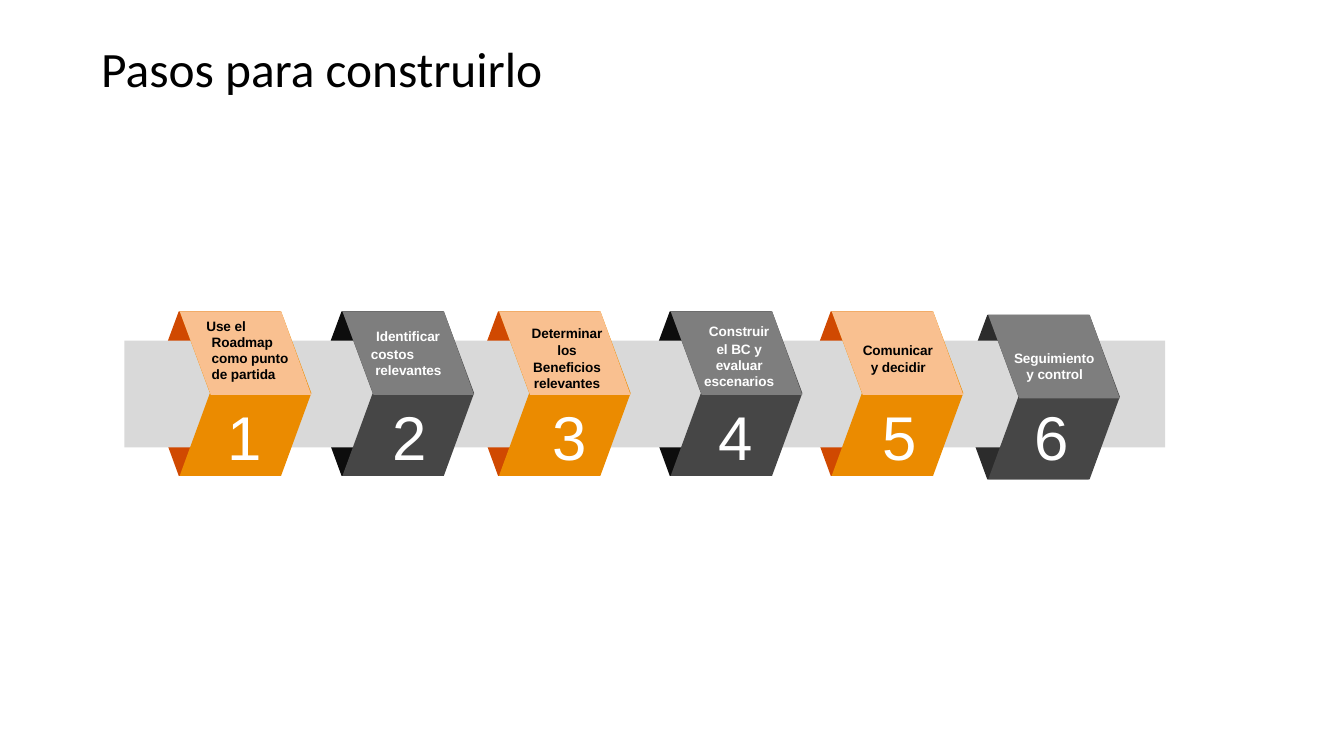
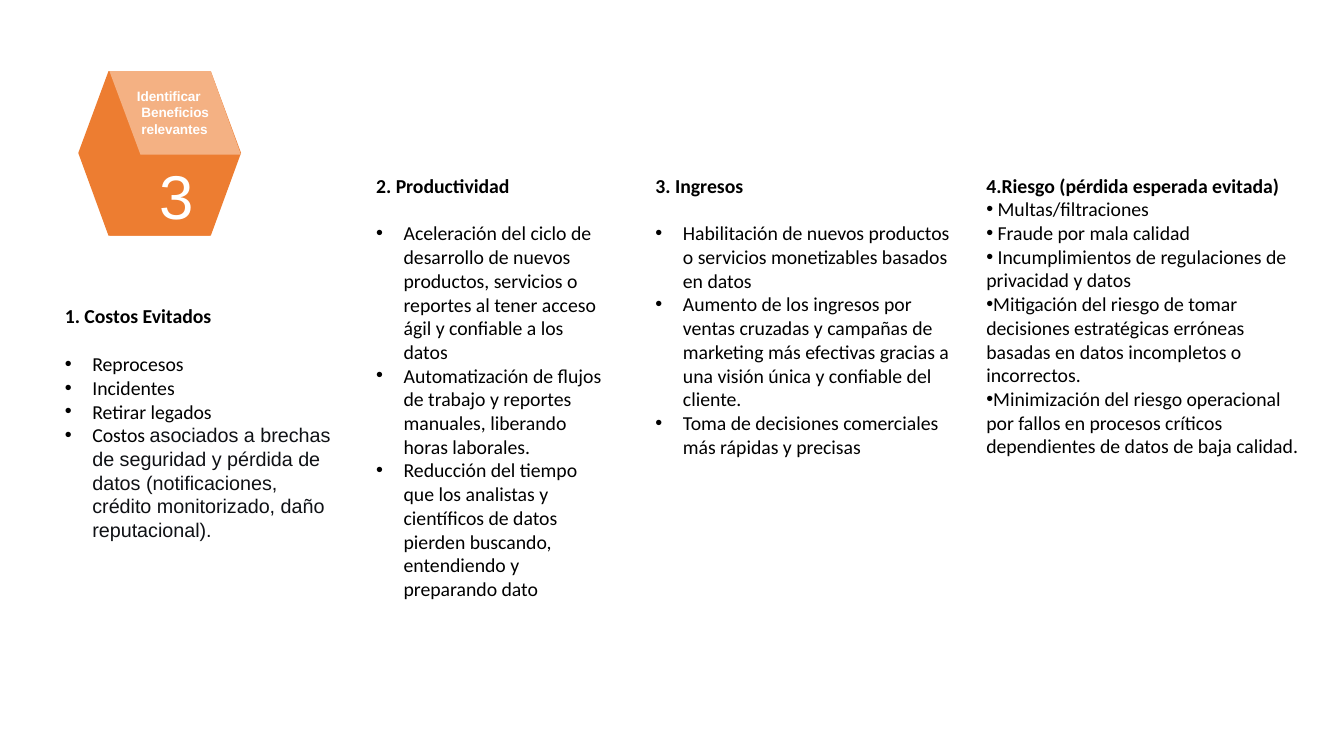
from dataclasses import dataclass
from lxml import etree
from pptx import Presentation
from pptx import util as u
from pptx.dml.color import RGBColor
from pptx.enum import shapes, text
from pptx.oxml.ns import qn

BLACK, WHITE, INK = "000000", "FFFFFF", "0F1115"
BAND = "D9D9D9"
BODY_FONT, STEP_FONT = "Calibri", "Arial"

BACK = [(1.48, 0), (0.34, 0), (0, 0.92), (0.34, 1.85), (1.48, 1.85), (1.14, 0.92)]
FRONT = [(1.49, 0), (0.35, 0), (0.69, 0.92), (0.35, 1.85), (1.49, 1.85), (1.83, 0.92)]
LID = [(1.49, 0), (0.35, 0), (0.7, 0.94), (1.83, 0.94)]


@dataclass
class Theme:
    back: str
    front: str
    lid: str
    label: str


@dataclass
class Step:
    number: str
    theme: Theme
    left: float
    top: float
    number_at: tuple
    label_box: tuple
    label: list
    indents: list
    centred: bool = False


ORANGE = Theme("D04901", "EB8B00", "F9C090", BLACK)
GREY = Theme("0D0D0D", "464646", "7E7E7E", WHITE)
SOFT_GREY = Theme("2C2C2C", "464646", "7E7E7E", WHITE)
CORAL = Theme("ED7D31", "ED7D31", "F4B183", WHITE)

HANGING = (0.06, -0.05)
FLUSH = (0.01, 0)

STEPS = [
    Step("1", ORANGE, 1.67, 3.5, (0.88, 0.97), (0.63, 0.06, 1.09, 0.76),
         ["Use el Roadmap como punto de partida"], [(0.08, -0.06)]),
    Step("2", GREY, 3.5, 3.5, (0.9, 0.97), (0.66, 0.18, 0.88, 0.6),
         ["Identificar", "costos relevantes"], [(0.07, 0), HANGING]),
    Step("3", ORANGE, 5.26, 3.5, (0.94, 0.97), (0.69, 0.14, 0.84, 0.76),
         ["Determinar", "los Beneficios relevantes"], [FLUSH, FLUSH], True),
    Step("4", GREY, 7.19, 3.5, (0.88, 0.97), (0.7, 0.12, 0.83, 0.76),
         ["Construir", "el BC y evaluar escenarios"], [FLUSH, FLUSH], True),
    Step("5", ORANGE, 9, 3.5, (0.91, 0.97), (0.69, 0.34, 0.83, 0.4),
         ["Comunicar y decidir"], [(0.1, -0.09)]),
    Step("6", SOFT_GREY, 10.76, 3.54, (0.86, 0.93), (0.63, 0.38, 0.95, 0.4),
         ["Seguimiento y control"], [(0.15, -0.14)]),
]

BENEFITS_STEP = Step("3", CORAL, 0.88, 0.8, (0.9, 0.96), (0.65, 0.18, 0.88, 0.57),
                     ["Identificar Beneficios relevantes"], [HANGING])

COSTS = ["Reprocesos", "Incidentes", "Retirar legados", "Costos "]
COSTS_DETAIL = ("asociados a brechas de seguridad y pérdida de datos "
                "(notificaciones, crédito monitorizado, daño reputacional).")
PRODUCTIVITY = [
    "Aceleración del ciclo de desarrollo de nuevos productos, servicios o reportes "
    "al tener acceso ágil y confiable a los datos",
    "Automatización de flujos de trabajo y reportes manuales, liberando horas laborales.",
    "Reducción del tiempo que los analistas y científicos de datos pierden buscando, "
    "entendiendo y preparando dato",
]
INCOME = [
    "Habilitación de nuevos productos o servicios monetizables basados en datos",
    "Aumento de los ingresos por ventas cruzadas y campañas de marketing más efectivas "
    "gracias a una visión única y confiable del cliente.",
    "Toma de decisiones comerciales más rápidas y precisas",
]
RISK = [
    " Multas/filtraciones",
    " Fraude por mala calidad",
    " Incumplimientos de regulaciones de privacidad y datos",
    "Mitigación del riesgo de tomar decisiones estratégicas erróneas basadas en datos "
    "incompletos o incorrectos.",
    "Minimización del riesgo operacional por fallos en procesos críticos dependientes "
    "de datos de baja calidad.",
]


def rgb(colour):
    return RGBColor.from_string(colour)


def paint(shape, colour):
    shape.fill.solid()
    shape.fill.fore_color.rgb = rgb(colour)
    shape.line.fill.background()
    shape.shadow.inherit = False


def format_run(run, size, font, colour, bold=False, spacing=0):
    run.font.size = u.Pt(size)
    run.font.name = font
    run.font.bold = bold
    run.font.color.rgb = rgb(colour)
    if spacing:
        run._r.get_or_add_rPr().set("spc", str(round(spacing * 100)))


def indent(paragraph, margin, first):
    properties = paragraph._p.get_or_add_pPr()
    properties.set("marL", str(u.Inches(margin)))
    properties.set("indent", str(u.Inches(first)))
    return properties


def add_bullet(paragraph, hang):
    properties = indent(paragraph, hang, -hang)
    etree.SubElement(properties, qn("a:buFont")).set("typeface", "Arial")
    etree.SubElement(properties, qn("a:buChar")).set("char", "•")


def text_area(slide, left, top, width, height):
    area = slide.shapes.add_textbox(*map(u.Inches, (left, top, width, height)))
    area.text_frame.word_wrap = True
    return area.text_frame


def add_title(slide, wording):
    frame = text_area(slide, 1.04, 0.45, 9.6, 0.71)
    frame.vertical_anchor = text.MSO_ANCHOR.MIDDLE
    title = frame.paragraphs[0]
    title.text = wording
    title.line_spacing = 0.9
    format_run(title.runs[0], 40, BODY_FONT, BLACK)


def add_outline(slide, step, points, colour):
    corners = [(u.Inches(step.left + x), u.Inches(step.top + y)) for x, y in points]
    builder = slide.shapes.build_freeform(*corners[0], scale=1.0)
    builder.add_line_segments(corners[1:], close=True)
    paint(builder.convert_to_shape(), colour)


def add_step_text(slide, step, box, lines, indents, size, colour, bold, spacing):
    left, top, width, height = box
    frame = text_area(slide, step.left + left, step.top + top, width, height)
    frame.margin_left = frame.margin_right = frame.margin_bottom = 0
    frame.margin_top = u.Inches(0.01)
    frame.text = "\n".join(lines)
    for paragraph, (margin, first) in zip(frame.paragraphs, indents):
        indent(paragraph, margin, first)
        paragraph.space_before = u.Pt(1.1)
        format_run(paragraph.runs[0], size, STEP_FONT, colour, bold, spacing)
    return frame


def add_step_back(slide, step):
    add_outline(slide, step, BACK, step.theme.back)


def add_step_face(slide, step):
    add_outline(slide, step, FRONT, step.theme.front)
    add_outline(slide, step, LID, step.theme.lid)
    add_step_text(slide, step, (*step.number_at, 0.41, 0.86), [step.number], [FLUSH],
                  50, WHITE, False, -0.5)
    label = add_step_text(slide, step, step.label_box, step.label, step.indents,
                          11, step.theme.label, True, -0.1)
    if step.centred:
        for paragraph in label.paragraphs:
            paragraph.alignment = text.PP_ALIGN.CENTER


def add_column(slide, box, heading, items, gap=19.5, hang=0.31):
    frame = text_area(slide, *box)
    frame.text = "\n".join([heading, *items])
    title, *bullets = frame.paragraphs
    title.space_after = u.Pt(gap)
    format_run(title.runs[0], 16, BODY_FONT, BLACK, True)
    for bullet in bullets:
        add_bullet(bullet, hang)
        format_run(bullet.runs[0], 16, BODY_FONT, BLACK)
    return frame


def build_steps(slide):
    for step in STEPS:
        add_step_back(slide, step)
    band = slide.shapes.add_shape(shapes.MSO_SHAPE.RECTANGLE,
                                  *map(u.Inches, (1.4, 3.83, 11.7, 1.2)))
    paint(band, BAND)
    for step in STEPS:
        add_step_face(slide, step)
    add_title(slide, "Pasos para construirlo")


def build_benefits(slide):
    add_step_back(slide, BENEFITS_STEP)
    add_step_face(slide, BENEFITS_STEP)
    costs = add_column(slide, (0.63, 3.37, 3.21, 3.1), "1. Costos Evitados", COSTS)
    detail = costs.paragraphs[-1].add_run()
    detail.text = COSTS_DETAIL
    format_run(detail, 16, STEP_FONT, INK)
    add_column(slide, (4.13, 1.9, 2.84, 4.95), "2. Productividad", PRODUCTIVITY)
    add_column(slide, (7.27, 1.9, 3.57, 4.34), "3. Ingresos", INCOME)
    add_column(slide, (10.99, 1.9, 3.78, 3.33), "4.Riesgo (pérdida esperada evitada)",
               RISK, gap=0, hang=0)


def main():
    deck = Presentation()
    deck.slide_width, deck.slide_height = u.Inches(15.11), u.Inches(8.5)
    for build in (build_steps, build_benefits):
        build(deck.slides.add_slide(deck.slide_layouts[6]))
    deck.save("out.pptx")


if __name__ == "__main__":
    main()
